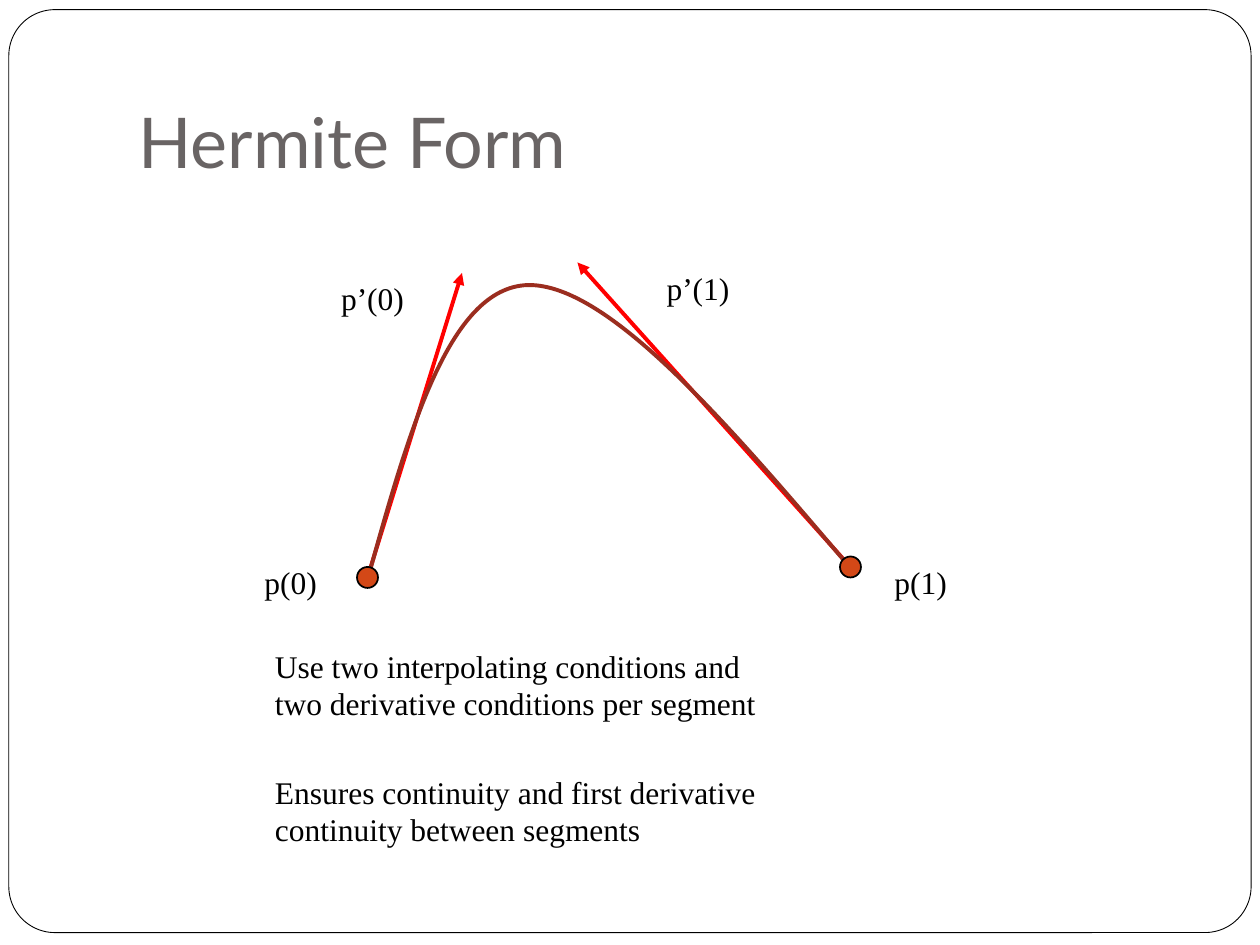
from dataclasses import dataclass

from lxml.etree import SubElement
from pptx import Presentation
from pptx.dml.color import RGBColor
from pptx.enum.shapes import MSO_CONNECTOR, MSO_SHAPE
from pptx.enum.text import MSO_ANCHOR
from pptx.oxml.ns import qn
from pptx.util import Inches, Pt

BLACK = RGBColor(0x00, 0x00, 0x00)
WHITE = RGBColor(0xFF, 0xFF, 0xFF)
GRAY = RGBColor(0x69, 0x64, 0x64)
RED = RGBColor(0xFF, 0x00, 0x00)
BROWN = RGBColor(0x9B, 0x2D, 0x1F)
ORANGE = RGBColor(0xD3, 0x48, 0x17)

COLS, ROWS = 120, 90
UNIT = Inches(10) / COLS
Point = tuple[float, float]


@dataclass
class Label:
    lines: list[str]
    col: float
    row: float
    cols: float
    rows: float = 6
    font: str = "Times New Roman"
    size: int = 18
    color: RGBColor = BLACK
    anchor: MSO_ANCHOR = MSO_ANCHOR.TOP
    bottom: float = 0.05


@dataclass
class Tangent:
    start: Point
    tip: Point


TANGENTS = [Tangent((81, 54), (55, 25)), Tangent((35, 55), (44, 26))]
ENDPOINTS = [(35, 55), (81, 54)]
CURVE = [(35, 55.2), (38.88, 41.28), (42.72, 27.36), (50.28, 27.15),
         (57.96, 27), (69.48, 40.56), (81, 54.1)]
LABELS = [
    Label(["Hermite Form"], 12, 3.6, 102, 15, "Lato", 40, GRAY, MSO_ANCHOR.BOTTOM, 0.1),
    Label(["p(0)"], 24, 53, 9.1),
    Label(["p(1)"], 84, 53, 9.1),
    Label(["p’(0)"], 31.3, 26, 10.4),
    Label(["p’(1)"], 62.3, 25, 10.4),
    Label(["Use two interpolating conditions and",
           "two derivative conditions per segment"], 25, 61, 63.5, 10.8),
    Label(["Ensures continuity and first derivative",
           "continuity between segments"], 25, 73, 63.5, 10.8),
]


def grid(*cells: float) -> list[int]:
    return [round(c * UNIT) for c in cells]


def add_solid(s, kind: MSO_SHAPE, box: list[int], fill: RGBColor, width: float):
    sp = s.shapes.add_shape(kind, *box)
    sp.shadow.inherit = False
    sp.fill.solid()
    sp.fill.fore_color.rgb = fill
    sp.line.color.rgb = BLACK
    sp.line.width = Pt(width)
    return sp


def add_tangent(s, t: Tangent) -> None:
    c = s.shapes.add_connector(MSO_CONNECTOR.STRAIGHT, *grid(*t.start, *t.tip))
    c.line.color.rgb = RED
    c.line.width = Pt(2.25)
    SubElement(c.line._get_or_add_ln(), qn("a:tailEnd"), type="triangle")
    SubElement(c._element.spPr, qn("a:effectLst"))


def add_curve(s, points: list[Point]) -> None:
    start, *rest = [grid(*pt) for pt in points]
    fb = s.shapes.build_freeform(*start)
    fb.add_line_segments(rest, close=False)
    sp = fb.convert_to_shape()
    path = sp._element.spPr.find(".//" + qn("a:path"))
    segments = path.findall(qn("a:lnTo"))
    for i in range(0, len(segments), 3):
        bezier = SubElement(path, qn("a:cubicBezTo"))
        for segment in segments[i:i + 3]:
            bezier.append(segment[0])
            path.remove(segment)
    sp.shadow.inherit = False
    sp.fill.background()
    sp.line.color.rgb = BROWN
    sp.line.width = Pt(2.25)


def add_label(s, label: Label) -> None:
    box = grid(label.col, label.row, label.cols, label.rows)
    tf = s.shapes.add_textbox(*box).text_frame
    tf.word_wrap = True
    tf.vertical_anchor = label.anchor
    tf.margin_bottom = Inches(label.bottom)
    tf.text = "\n".join(label.lines)
    for p in tf.paragraphs:
        p.font.name = label.font
        p.font.size = Pt(label.size)
        p.font.color.rgb = label.color


def main() -> None:
    prs = Presentation()
    prs.slide_width, prs.slide_height = grid(COLS, ROWS)
    s = prs.slides.add_slide(prs.slide_layouts[6])
    frame = add_solid(s, MSO_SHAPE.ROUNDED_RECTANGLE, grid(0.84, 0.92, 118.32, 87.9), WHITE, 0.5)
    frame.adjustments[0] = 0.05
    for t in TANGENTS:
        add_tangent(s, t)
    add_curve(s, CURVE)
    for col, row in ENDPOINTS:
        add_solid(s, MSO_SHAPE.OVAL, grid(col - 1, row - 1, 2, 2), ORANGE, 1)
    for label in LABELS:
        add_label(s, label)
    prs.save("out.pptx")


if __name__ == "__main__":
    main()
